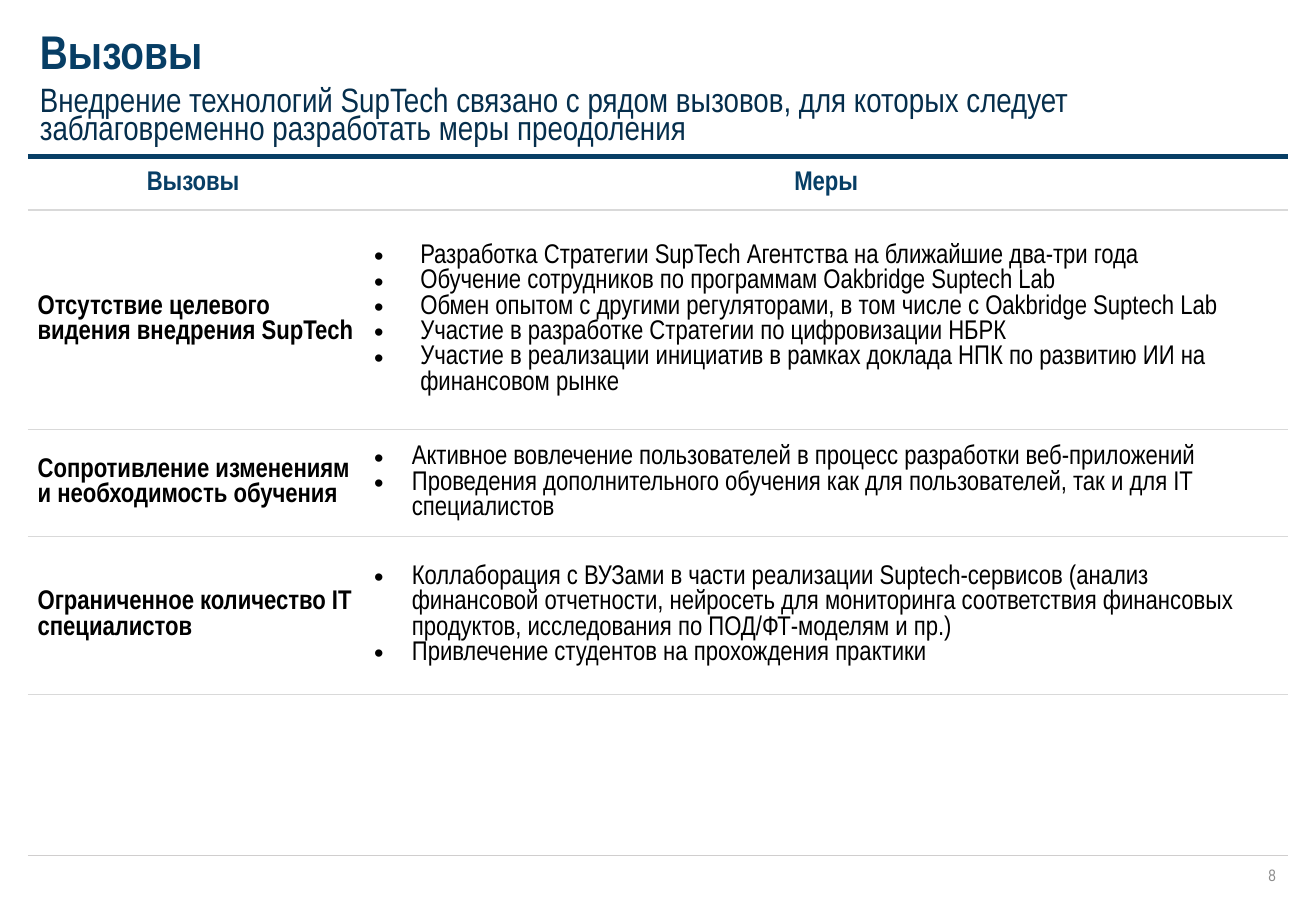
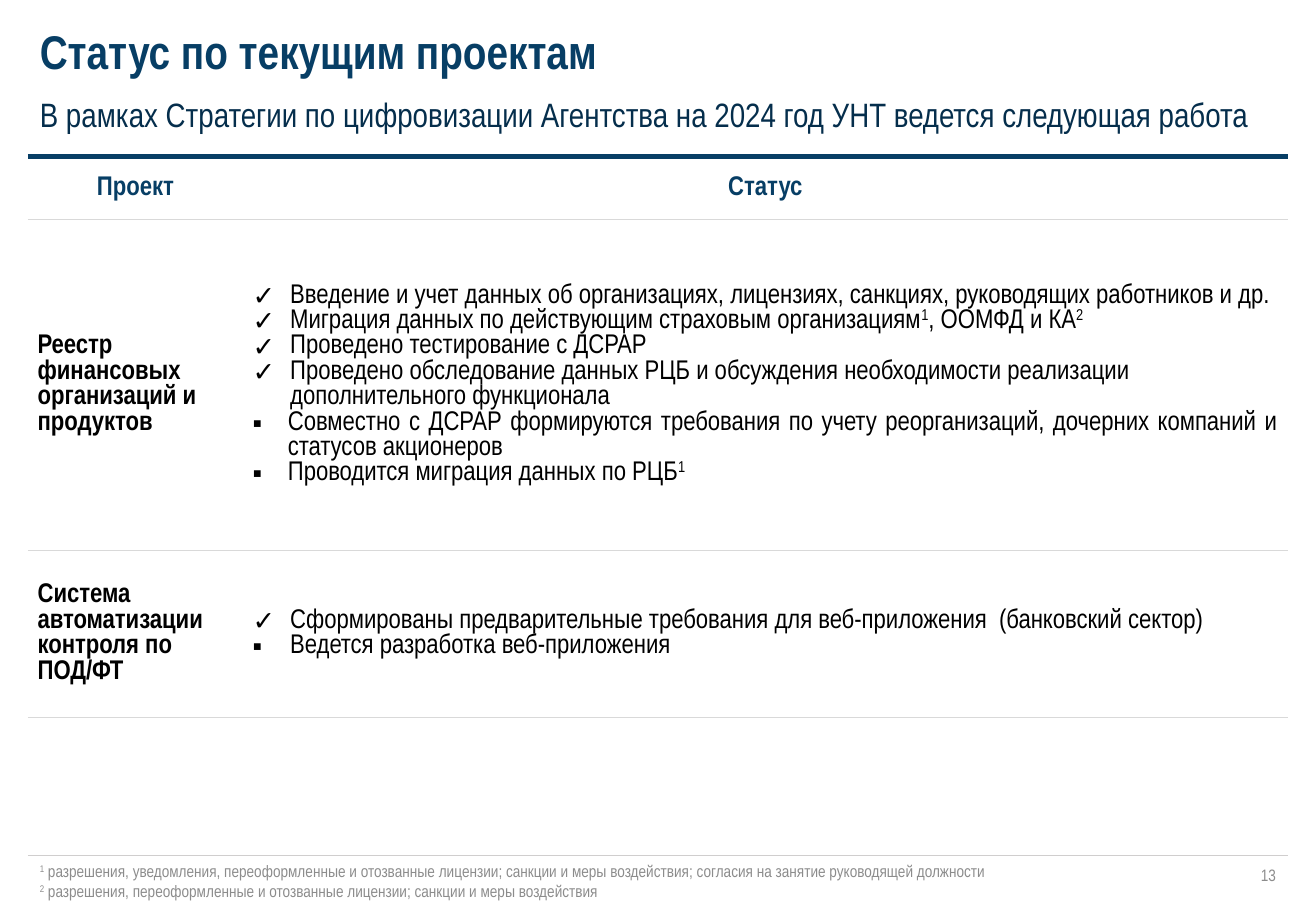
from lxml.etree import SubElement
from pptx import Presentation
from pptx.dml.color import RGBColor
from pptx.enum.shapes import MSO_CONNECTOR
from pptx.enum.text import MSO_ANCHOR, PP_ALIGN
from pptx.oxml import parse_xml
from pptx.oxml.ns import nsdecls, qn
from pptx.util import Inches, Pt

WIDE, HIGH = 10.83, 7.5
LEFT, SPAN = 2.12, 95.75  # text area, in percent of the slide's width
TOP, FOOT = 17.2, 93.87  # the two rules, in percent of the slide's height
FONT = "Arial Narrow"
PLAIN = "{2D5ABB26-0587-4C30-8999-92F81FD0307C}"  # table style without grid
HUES = {
    "navy": "073E65",
    "deep": "052E4C",
    "black": "000000",
    "gray": "8C8C8C",
    "rule": "D0CECE",
    "grid": "D9D9D9",
}


def across(share):
    return Inches(WIDE * share / 100)


def down(share):
    return Inches(HIGH * share / 100)


def write(frame, text, size=16, hue="black", bold=False, align=PP_ALIGN.LEFT,
          space=None, mark=None, indent=0):
    """Add one paragraph; parts between ^ signs are raised."""
    para = frame.paragraphs[0]
    if para.runs:
        para = frame.add_paragraph()
    para.alignment = align
    if space:
        para.line_spacing = space
    if mark:
        props = para._p.get_or_add_pPr()
        props.set("marL", str(Inches(indent)))
        props.set("indent", str(-Inches(indent)))
        SubElement(props, qn("a:buFont")).set("typeface", "Arial")
        SubElement(props, qn("a:buChar")).set("char", mark)
    for place, part in enumerate(text.split("^")):
        if not part:
            continue
        run = para.add_run()
        run.text = part
        font = run.font
        font.name, font.size, font.bold = FONT, Pt(size), bold
        font.color.rgb = RGBColor.from_string(HUES[hue])
        if place % 2:
            run._r.get_or_add_rPr().set("baseline", "30000")


def box(slide, left, top, width, height, lines, anchor=MSO_ANCHOR.MIDDLE, **form):
    shape = slide.shapes.add_textbox(
        across(left), down(top), across(width), down(height))
    frame = shape.text_frame
    frame.word_wrap = True
    frame.vertical_anchor = anchor
    for line in lines:
        write(frame, line, **form)


def rule(slide, top, hue, weight):
    line = slide.shapes.add_connector(
        MSO_CONNECTOR.STRAIGHT, across(LEFT), down(top),
        across(LEFT + SPAN), down(top))
    line.line.color.rgb = RGBColor.from_string(HUES[hue])
    line.line.width = Pt(weight)
    SubElement(line._element.spPr, qn("a:effectLst"))


def page(deck, title, lead, number, space):
    """Add a slide with its heading, rules and number."""
    slide = deck.slides.add_slide(deck.slide_layouts[6])
    rule(slide, TOP, "navy", 3)
    rule(slide, FOOT, "rule", 0.5)
    box(slide, 70.64, 94.13, 27.23, 3.87, [number], size=9.8, hue="gray",
        align=PP_ALIGN.RIGHT)
    box(slide, LEFT, 3.47, SPAN, 4.93, [title], size=28, hue="navy",
        bold=True, space=0.9)
    box(slide, LEFT, 8.93, SPAN, 8, [lead], size=20, hue="deep", space=space)
    return slide


def style(cell):
    """Clear the cell's fill and rule its lower edge."""
    cell.vertical_anchor = MSO_ANCHOR.MIDDLE
    cell.margin_left = cell.margin_right = Inches(0.08)
    cell.margin_top = cell.margin_bottom = Inches(0.04)
    cell.fill.background()
    cell._tc.tcPr.insert(0, parse_xml(
        f'<a:lnB {nsdecls("a")} w="{Pt(0.75)}"><a:solidFill>'
        f'<a:srgbClr val="{HUES["grid"]}"/></a:solidFill></a:lnB>'))


def grid(slide, first, heights, heads, rows):
    """Draw a table; first is the left column's percent of the slide's width."""
    table = slide.shapes.add_table(
        len(heights), 2, across(LEFT), down(TOP + 0.13), across(SPAN),
        down(sum(heights))).table
    table.first_row = table.horz_banding = False
    table._tbl.tblPr.find(qn("a:tableStyleId")).text = PLAIN
    for col, width in zip(table.columns, (first, SPAN - first)):
        col.width = across(width)
    for row, height in zip(table.rows, heights):
        row.height = down(height)
    for cell in table.iter_cells():
        style(cell)
    for col, head in enumerate(heads):
        write(table.cell(0, col).text_frame, head, hue="navy", bold=True,
              align=PP_ALIGN.CENTER)
    for at, (name, groups) in enumerate(rows, 1):
        write(table.cell(at, 0).text_frame, name, bold=True)
        frame = table.cell(at, 1).text_frame
        for mark, indent, align, items in groups:
            for item in items:
                write(frame, item, mark=mark, indent=indent, align=align)


def risks(deck):
    slide = page(
        deck, "Вызовы",
        "Внедрение технологий SupTech связано с рядом вызовов, для которых "
        "следует заблаговременно разработать меры преодоления", "8", 0.7)
    grid(slide, 25.58, (5.73, 24.13, 10, 17.33), ("Вызовы ", "Меры"), [
        ("Отсутствие целевого видения внедрения SupTech", [
            ("•", 0.38, PP_ALIGN.LEFT, [
                "Разработка Стратегии SupTech Агентства на ближайшие два-три года",
                "Обучение сотрудников по программам Oakbridge Suptech Lab",
                "Обмен опытом с другими регуляторами, в том числе с "
                "Oakbridge Suptech Lab",
                "Участие в разработке Стратегии по цифровизации НБРК",
                "Участие в реализации инициатив в рамках доклада НПК по "
                "развитию ИИ на финансовом рынке",
            ])]),
        ("Сопротивление изменениям и необходимость обучения", [
            ("•", 0.31, PP_ALIGN.LEFT, [
                "Активное вовлечение пользователей в процесс разработки "
                "веб-приложений",
                "Проведения дополнительного обучения как для пользователей, "
                "так и для IT специалистов",
            ])]),
        ("Ограниченное количество IT специалистов", [
            ("•", 0.31, PP_ALIGN.LEFT, [
                "Коллаборация с ВУЗами в части реализации Suptech-сервисов "
                "(анализ финансовой отчетности, нейросеть для мониторинга "
                "соответствия финансовых продуктов, исследования по "
                "ПОД/ФТ-моделям и пр.)",
                "Привлечение студентов на прохождения практики",
            ])]),
    ])


def state(deck):
    slide = page(
        deck, "Статус по текущим проектам",
        "В рамках Стратегии по цифровизации Агентства на 2024 год УНТ "
        "ведется следующая работа", "13", 0.8)
    grid(slide, 16.34, (6.8, 36.27, 18.4), ("Проект", "Статус"), [
        ("Реестр финансовых организаций и продуктов", [
            ("✓", 0.31, PP_ALIGN.LEFT, [
                "Введение и учет данных об организациях, лицензиях, "
                "санкциях, руководящих работников и др.",
                "Миграция данных по действующим страховым "
                "организациям^1^, ООМФД и КА^2^",
                "Проведено тестирование с ДСРАР",
                "Проведено обследование данных РЦБ и обсуждения "
                "необходимости реализации дополнительного функционала",
            ]),
            ("▪", 0.29, PP_ALIGN.JUSTIFY, [
                "Совместно с ДСРАР формируются требования по учету "
                "реорганизаций, дочерних компаний и статусов акционеров",
                "Проводится миграция данных по РЦБ^1^",
            ])]),
        ("Система автоматизации контроля по ПОД/ФТ", [
            ("✓", 0.31, PP_ALIGN.JUSTIFY, [
                "Сформированы предварительные требования для "
                "веб-приложения  (банковский сектор)"]),
            ("▪", 0.31, PP_ALIGN.JUSTIFY, ["Ведется разработка веб-приложения"]),
        ]),
    ])
    box(slide, LEFT, FOOT, 80, 6, [
        "^1^ разрешения, уведомления, переоформленные и отозванные лицензии; "
        "санкции и меры воздействия; согласия на занятие руководящей должности",
        "^2^ разрешения, переоформленные и отозванные лицензии; санкции и "
        "меры воздействия",
    ], anchor=MSO_ANCHOR.TOP, size=9.8, hue="gray")


def main():
    deck = Presentation()
    deck.slide_width, deck.slide_height = Inches(WIDE), Inches(HIGH)
    risks(deck)
    state(deck)
    deck.save("out.pptx")


if __name__ == "__main__":
    main()
